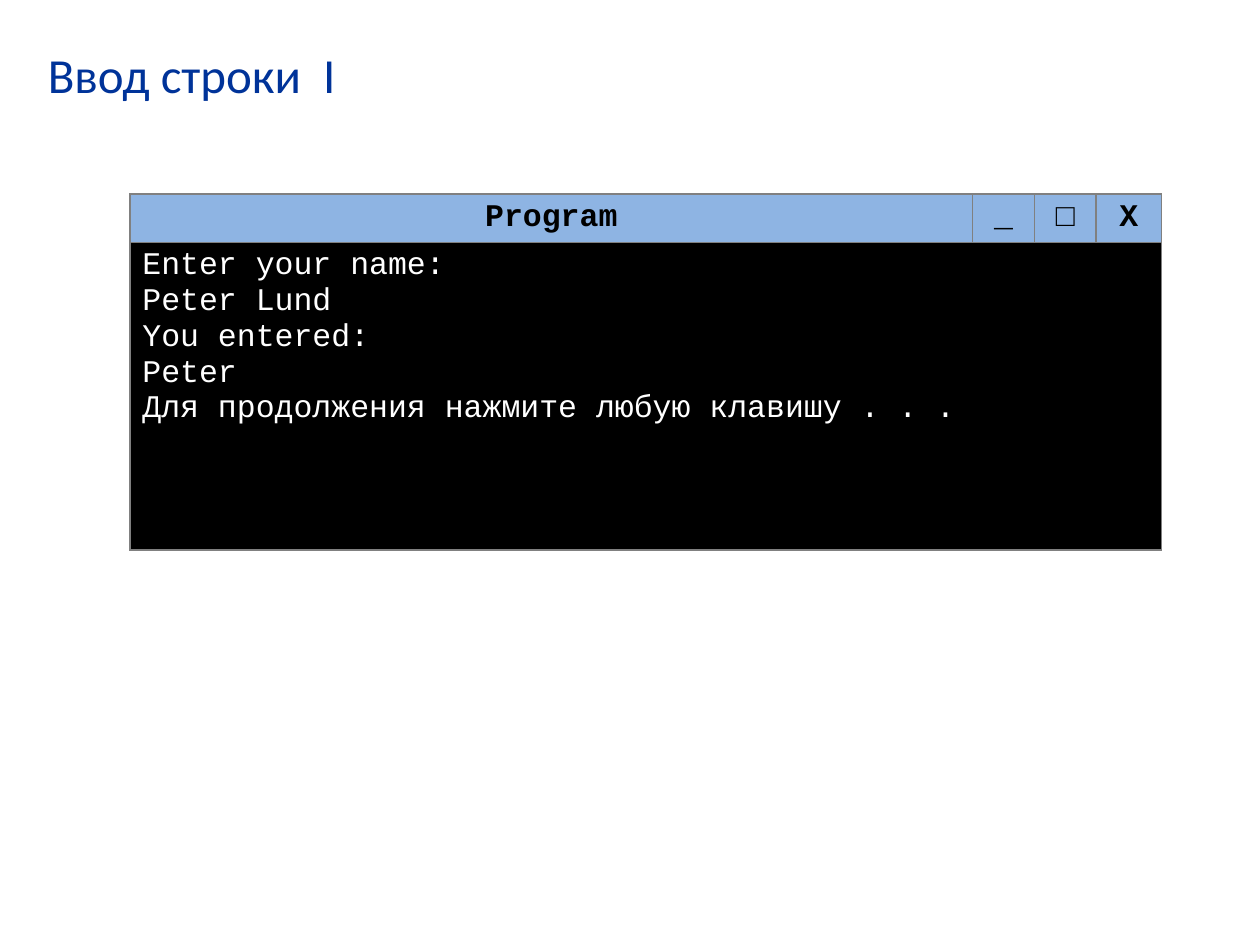
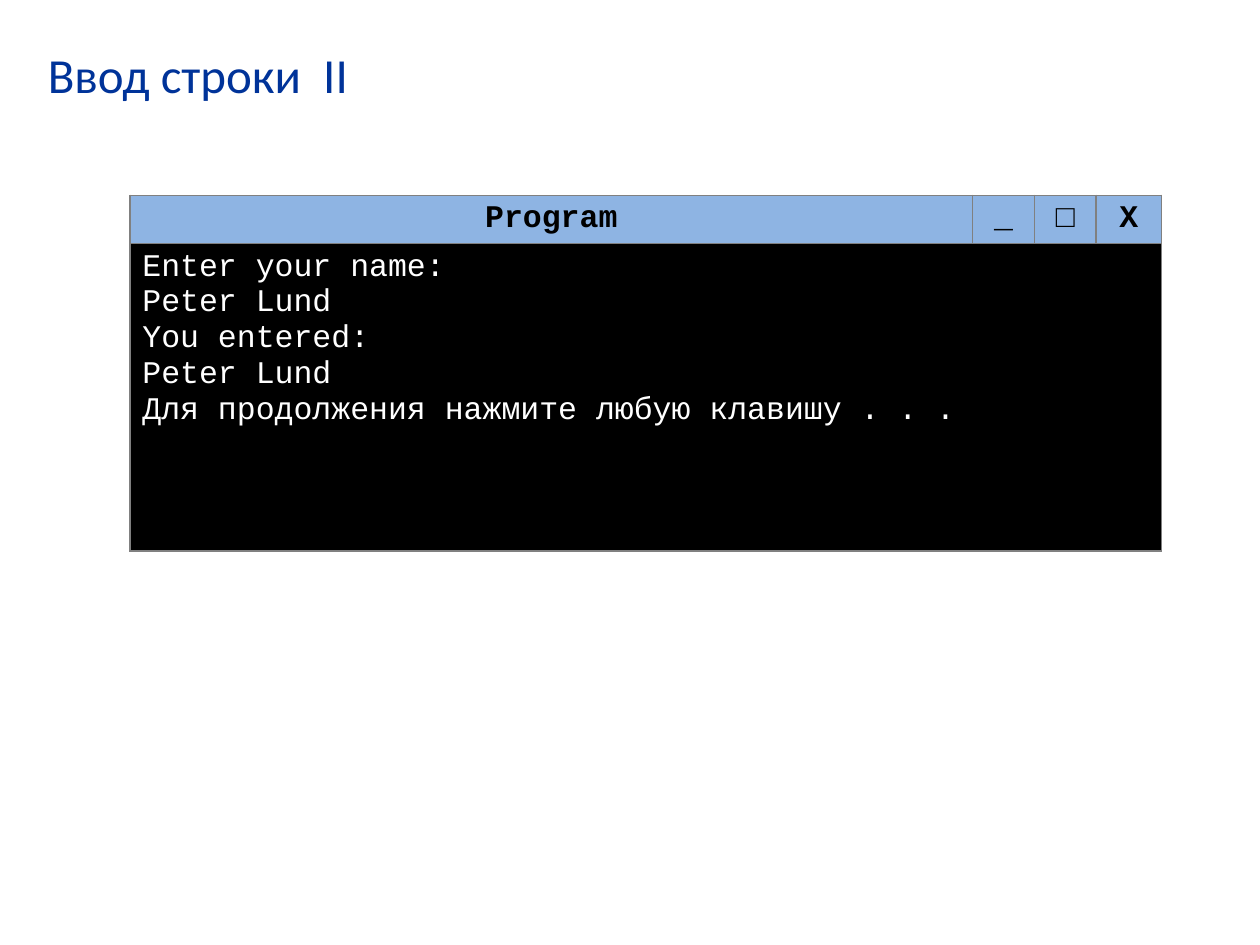
from lxml import etree
from pptx import Presentation
from pptx.dml.color import RGBColor
from pptx.enum.text import MSO_ANCHOR, PP_ALIGN
from pptx.oxml.ns import qn
from pptx.util import Inches, Pt

LEFT, CENTER = PP_ALIGN.LEFT, PP_ALIGN.CENTER
TOP, MIDDLE = MSO_ANCHOR.TOP, MSO_ANCHOR.MIDDLE

COLORS = {
    "title": "003399",
    "title_bar": "8EB4E3",
    "console": "000000",
    "bar_text": "000000",
    "console_text": "FFFFFF",
    "border": "808080",
}
TITLE_FONT, CODE_FONT = "Calibri", "Courier New"
COLUMN_WIDTHS = (6.69, 0.49, 0.49, 0.52)
ROW_HEIGHTS = (0.38, 2.44)
WINDOW_BAR = ("Program", "_", "□", "X")
FIRST_NAME, FULL_NAME = "Peter", "Peter Lund"
PROMPT = "Для продолжения нажмите любую клавишу . . ."


class DeckBuilder:
    def __init__(self):
        self.deck = Presentation()
        self.deck.slide_width = Inches(10)
        self.deck.slide_height = Inches(7.5)
        self.page = None

    def add_page(self, title):
        self.page = self.deck.slides.add_slide(self.deck.slide_layouts[5])
        box = self.page.shapes.title
        box.left, box.top = Inches(0.28), Inches(0.3)
        box.width, box.height = Inches(9.45), Inches(0.93)
        box.text_frame.text = title
        box.text_frame.vertical_anchor = TOP
        self.format_text(box.text_frame, TITLE_FONT, 28, "title", LEFT)

    def format_text(self, frame, font, size, color, align, bold=False):
        for para in frame.paragraphs:
            para.alignment = align
            for span in para.runs:
                span.font.name = font
                span.font.size = Pt(size)
                span.font.bold = bold
                span.font.color.rgb = RGBColor.from_string(COLORS[color])

    def add_borders(self, cell):
        properties = cell._tc.get_or_add_tcPr()
        for index, side in enumerate(("a:lnL", "a:lnR", "a:lnT", "a:lnB")):
            line = etree.Element(qn(side), w=str(Pt(1)))
            fill = etree.SubElement(line, qn("a:solidFill"))
            etree.SubElement(fill, qn("a:srgbClr"), val=COLORS["border"])
            properties.insert(index, line)

    def fill_cell(self, cell, text, fill, color, align, anchor, bold):
        cell.text_frame.text = text
        cell.vertical_anchor = anchor
        cell.fill.solid()
        cell.fill.fore_color.rgb = RGBColor.from_string(COLORS[fill])
        self.format_text(cell.text_frame, CODE_FONT, 18, color, align, bold)

    def add_console(self, top, lines):
        table = self.page.shapes.add_table(
            len(ROW_HEIGHTS), len(COLUMN_WIDTHS), Inches(1.03), Inches(top),
            Inches(sum(COLUMN_WIDTHS)), Inches(sum(ROW_HEIGHTS))).table
        for column, width in zip(table.columns, COLUMN_WIDTHS):
            column.width = Inches(width)
        for row, height in zip(table.rows, ROW_HEIGHTS):
            row.height = Inches(height)
        for index, text in enumerate(WINDOW_BAR):
            anchor = MIDDLE if index else TOP
            self.fill_cell(table.cell(0, index), text, "title_bar", "bar_text",
                           CENTER, anchor, True)
        screen = table.cell(1, 0)
        screen.merge(table.cell(1, len(COLUMN_WIDTHS) - 1))
        self.fill_cell(screen, "\n".join(lines), "console", "console_text",
                       LEFT, TOP, False)
        for cell in table.iter_cells():
            self.add_borders(cell)


def main():
    builder = DeckBuilder()
    for title, top, result in (
        ("Ввод строки  I", 1.54, FIRST_NAME),
        ("Ввод строки  II", 1.55, FULL_NAME),
    ):
        builder.add_page(title)
        builder.add_console(top, ("Enter your name:", FULL_NAME,
                                  "You entered:", result, PROMPT))
    builder.deck.save("out.pptx")


if __name__ == "__main__":
    main()
